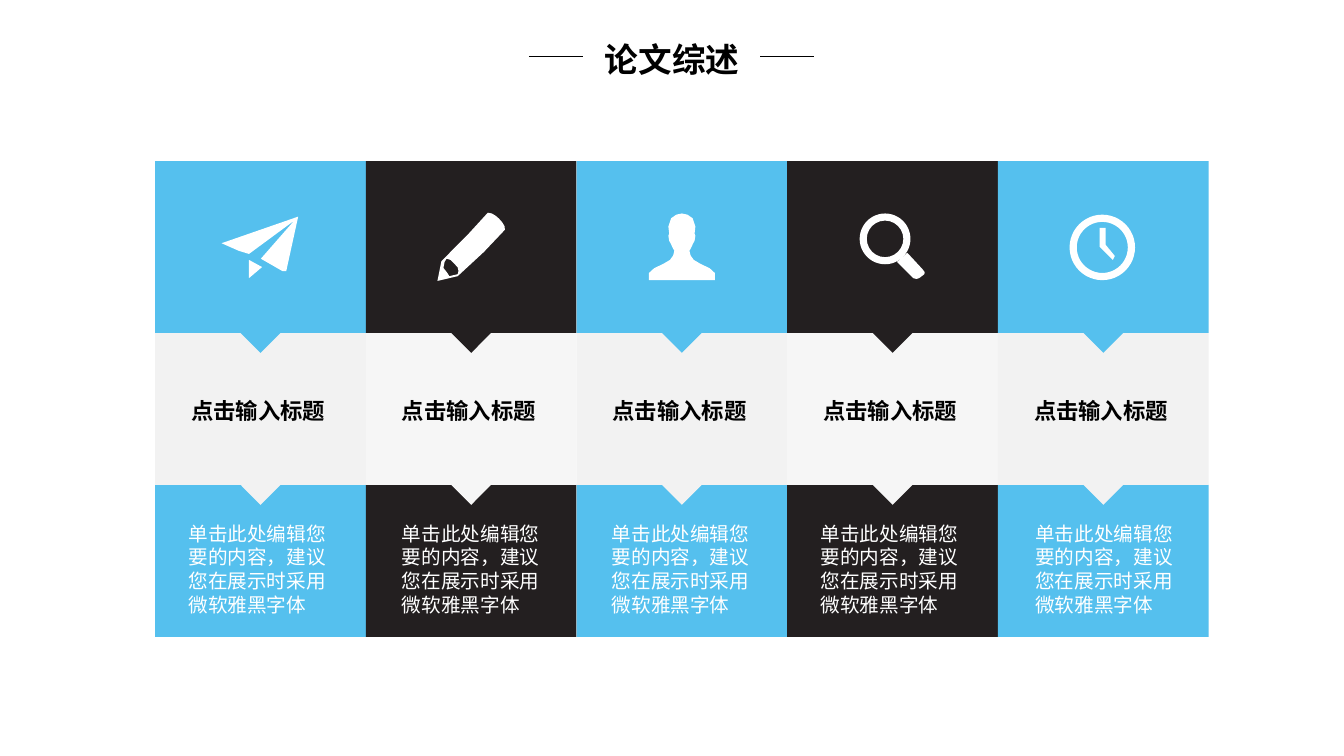
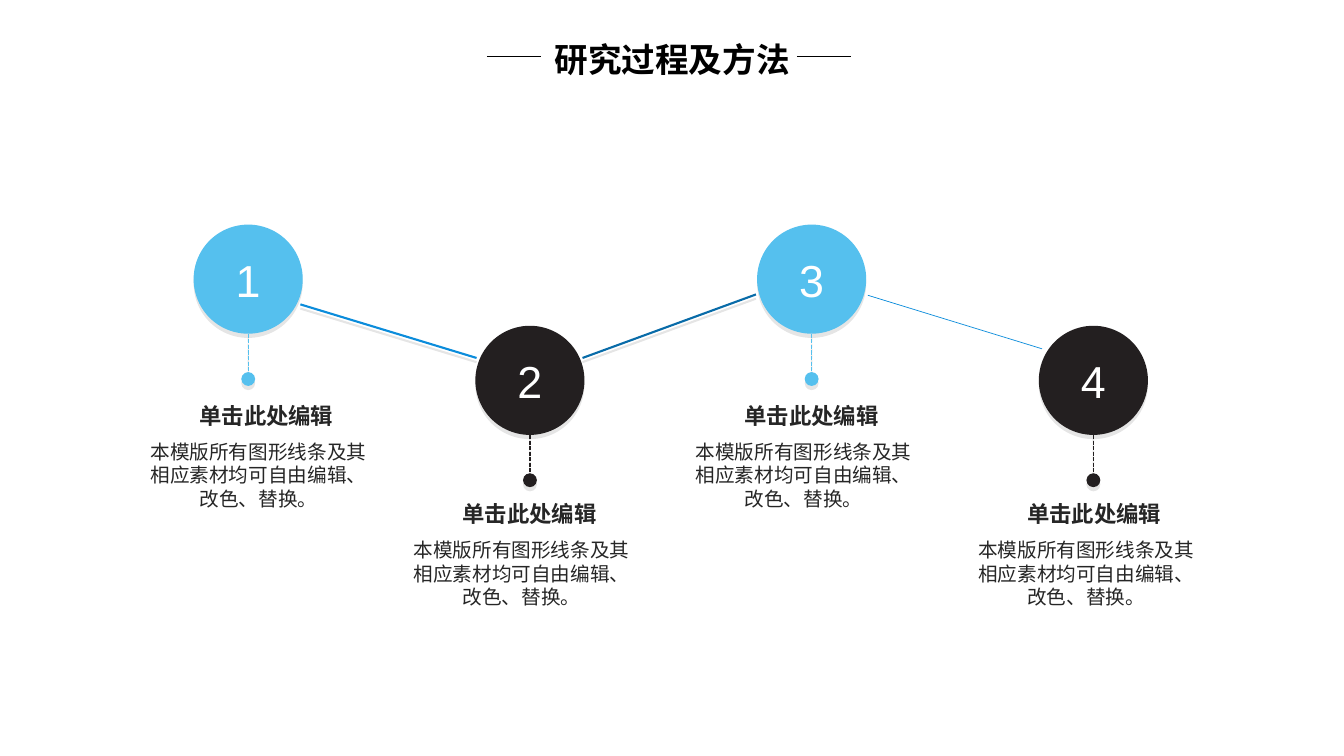
import pptx
import pptx.dml.color
import pptx.enum.dml
import pptx.enum.shapes
import pptx.enum.text
import pptx.oxml
import pptx.oxml.ns
import pptx.util

Cm, Pt = pptx.util.Cm, pptx.util.Pt
RGB = pptx.dml.color.RGBColor
SHAPE = pptx.enum.shapes.MSO_SHAPE
ALIGN = pptx.enum.text.PP_ALIGN
ANCHOR = pptx.enum.text.MSO_ANCHOR

BLUE = RGB(0x55, 0xC0, 0xEE)
DARK = RGB(0x23, 0x1F, 0x20)
PALE = RGB(0xF2, 0xF2, 0xF2)
PALER = RGB(0xF6, 0xF6, 0xF6)
LINK_BLUE = RGB(0x0B, 0x8C, 0xDB)
LINK_NAVY = RGB(0x08, 0x6B, 0xA8)
INK = RGB(0x26, 0x26, 0x26)
BLACK = RGB(0, 0, 0)
WHITE = RGB(0xFF, 0xFF, 0xFF)
CJK_FONT = "Noto Sans CJK SC"
LATIN_FONT = "Arial"

# Titles with the left ends of their two rules
REVIEW_TITLE = ("论文综述", (13.33, 19.16))
METHOD_TITLE = ("研究过程及方法", (12.27, 20.08))

CARD_TITLE = "点击输入标题"
CARD_BODY = "单击此处编辑您要的内容，建议您在展示时采用微软雅黑字体"
CARD_BODY_LEFTS = [4.75, 10.13, 15.42, 20.68, 26.09]
CARD_LEFT, CARD_WIDTH = 3.91, 5.31
ICON_ROW, TITLE_ROW, BODY_ROW, CARD_BOTTOM = 4.06, 8.39, 12.22, 16.05
POINTER = 0.71
ICON_Y = 6.22

# Icon outlines in hundredths of a centimetre from the icon centre
PLANE = [
    [(95, -76), (-98, -9), (-55, 10), (-29, 18), (85, -66), (1, 30),
     (55, 61), (65, 61)],
    [(-29, 33), (-29, 79), (4, 51)],
]
PENCIL = [
    [(42, -86), (52, -84), (62, -78), (70, -71), (78, -62), (84, -52),
     (85, -43), (32, 13), (-34, 74), (-85, 86), (-75, 36), (-11, -28)],
    [(-34, 69), (-55, 74), (-60, 66), (-70, 53), (-67, 38), (-62, 30),
     (-52, 33), (-42, 43), (-34, 52), (-32, 61)],
]
PERSON_HALF = [
    (0, -84), (14, -81), (27, -72), (34, -51), (32, -33), (34, -28),
    (32, -15), (28, -8), (23, 3), (19, 10), (22, 22), (30, 33), (47, 43),
    (70, 54), (83, 66), (83, 84),
]
PERSON = [PERSON_HALF + [(-x, y) for x, y in reversed(PERSON_HALF)]]
HANDLE = [[(37, 15), (75, 56), (81, 64), (80, 69), (67, 79), (60, 81),
           (52, 79), (11, 38)]]
HANDS = [[(6, -48), (-9, -48), (-9, 0), (24, 33), (29, 23), (6, -5)]]
# Outline, then an optional ring: left, top, diameter, relative thickness
ICONS = [
    (PLANE, None),
    (PENCIL, None),
    (PERSON, None),
    (HANDLE, (-0.83, -0.84, 1.28, 0.14)),
    (HANDS, (-0.85, -0.81, 1.65, 0.11)),
]

STEP_TITLE = "单击此处编辑"
STEP_BODY = "本模版所有图形线条及其相应素材均可自由编辑、改色、替换。"
STEP_TEXT_LEFTS = [3.3, 9.93, 17.04, 24.16]
STEP_LEFT, STEP_PITCH, CIRCLE = 4.88, 7.1, 2.75
# Circle top, heading top, body top, colour: high and low steps alternate
STEP_LEVELS = [(5.66, 10.08, 10.95, BLUE), (8.21, 12.55, 13.43, DARK)]
STEM = 1.14
LINKS = [
    ((7.57, 7.67, 12.01, 9.02), LINK_BLUE, 1.5, True),
    ((14.68, 9.02, 19.05, 7.42), LINK_NAVY, 1.5, True),
    ((21.87, 7.44, 26.26, 8.79), LINK_BLUE, 0.5, False),
]


def set_effect(sp, shadow):
    """Give the shape a faint drop shadow, or explicitly none."""
    inner = (
        '<a:outerShdw blurRad="0" dist="38100" dir="5400000" algn="t" '
        'rotWithShape="0"><a:srgbClr val="000000"><a:alpha val="10000"/>'
        "</a:srgbClr></a:outerShdw>"
    ) if shadow else ""
    sp._element.spPr.append(pptx.oxml.parse_xml(
        f'<a:effectLst {pptx.oxml.ns.nsdecls("a")}>{inner}</a:effectLst>'))


def paint(sp, color, shadow=False):
    sp.fill.solid()
    sp.fill.fore_color.rgb = color
    sp.line.fill.background()
    set_effect(sp, shadow)


def add_block(slide, kind, left, top, width, height, color, shadow=False):
    sp = slide.shapes.add_shape(
        kind, Cm(left), Cm(top), Cm(width), Cm(height))
    paint(sp, color, shadow)
    return sp


def add_line(slide, ends, color, width, shadow=False):
    line = slide.shapes.add_connector(
        pptx.enum.shapes.MSO_CONNECTOR.STRAIGHT, *map(Cm, ends))
    line.line.color.rgb = color
    line.line.width = Pt(width)
    set_effect(line, shadow)
    return line


def format_text(p, size, color, font, bold=False):
    f = p.runs[0].font
    f.size, f.bold, f.name = Pt(size), bold, font
    f.color.rgb = color
    r_pr = p.runs[0]._r.get_or_add_rPr()
    r_pr.append(pptx.oxml.parse_xml(
        f'<a:ea {pptx.oxml.ns.nsdecls("a")} typeface="{CJK_FONT}"/>'))


def add_text(slide, text, box, size, color, font=CJK_FONT, bold=False,
             align=ALIGN.LEFT, inset=None, leading=1.2):
    tf = slide.shapes.add_textbox(*map(Cm, box)).text_frame
    tf.word_wrap = True
    if inset is not None:
        tf.margin_left = tf.margin_right = Cm(inset)
        tf.margin_top = tf.margin_bottom = Cm(inset)
    p = tf.paragraphs[0]
    p.text = text
    p.alignment = align
    p.line_spacing = Pt(round(size * leading, 1))
    format_text(p, size, color, font, bold)


def add_slide(prs, title, rule_lefts):
    slide = prs.slides.add_slide(prs.slide_layouts[6])
    add_text(slide, title, (11.58, 0.85, 10.72, 1.27), 24, BLACK,
             bold=True, align=ALIGN.CENTER)
    for x in rule_lefts:
        add_line(slide, (x, 1.42, x + 1.36, 1.42), BLACK, 1)
    return slide


def add_pointer(slide, center, seam, color):
    """Add a diamond whose lower half points into the row below."""
    sp = add_block(slide, SHAPE.RECTANGLE, center - POINTER / 2,
                   seam - POINTER / 2, POINTER, POINTER, color)
    sp.rotation = 45


def add_icon(slide, contours, ring, center):
    builder = slide.shapes.build_freeform(*contours[0][0], scale=Cm(0.01))
    builder.add_line_segments(contours[0][1:], close=True)
    for contour in contours[1:]:
        builder.move_to(*contour[0])
        builder.add_line_segments(contour[1:], close=True)
    paint(builder.convert_to_shape(Cm(center), Cm(ICON_Y)), WHITE)
    if ring:
        dx, dy, size, thickness = ring
        sp = add_block(slide, SHAPE.DONUT, center + dx, ICON_Y + dy,
                       size, size, WHITE)
        sp.adjustments[0] = thickness


def add_card(slide, index, icon, body_left):
    left = CARD_LEFT + index * CARD_WIDTH
    center = left + CARD_WIDTH / 2
    color, pale = [(BLUE, PALE), (DARK, PALER)][index % 2]
    rows = [(BODY_ROW, CARD_BOTTOM, color), (TITLE_ROW, BODY_ROW, pale),
            (ICON_ROW, TITLE_ROW, color)]
    for top, bottom, fill in rows:
        add_block(slide, SHAPE.RECTANGLE, left, top, CARD_WIDTH,
                  bottom - top, fill)
        if bottom < CARD_BOTTOM:
            add_pointer(slide, center, bottom, fill)
    add_icon(slide, *icon, center)
    add_text(slide, CARD_TITLE, (left + 0.66, 9.88, 3.99, 0.94), 16, BLACK,
             bold=True)
    add_text(slide, CARD_BODY, (body_left, 13.15, 3.63, 2.44), 14, WHITE,
             inset=0)


def add_step(slide, index, text_left):
    top, title_top, body_top, color = STEP_LEVELS[index % 2]
    left = STEP_LEFT + index * STEP_PITCH
    sp = add_block(slide, SHAPE.OVAL, left, top, CIRCLE, CIRCLE, color, True)
    tf = sp.text_frame
    tf.text = str(index + 1)
    tf.vertical_anchor = ANCHOR.MIDDLE
    tf.paragraphs[0].alignment = ALIGN.CENTER
    format_text(tf.paragraphs[0], 32, WHITE, LATIN_FONT)

    x, y = left + CIRCLE / 2, top + CIRCLE
    stem = add_line(slide, (x, y, x, y + STEM), color, 1, True)
    stem.line.dash_style = pptx.enum.dml.MSO_LINE.SQUARE_DOT
    stem.line._get_or_add_ln().append(pptx.oxml.parse_xml(
        f'<a:tailEnd {pptx.oxml.ns.nsdecls("a")} type="oval" '
        'w="lg" len="lg"/>'))

    add_text(slide, STEP_TITLE, (text_left + 0.2, title_top, 6.43, 0.86), 16,
             INK, LATIN_FONT, True, ALIGN.CENTER, leading=1.08)
    add_text(slide, STEP_BODY, (text_left, body_top, 6.43, 2.06), 14,
             INK, LATIN_FONT, align=ALIGN.CENTER)


def main():
    prs = pptx.Presentation()
    prs.slide_width, prs.slide_height = Cm(33.87), Cm(19.05)

    review = add_slide(prs, *REVIEW_TITLE)
    for i, (icon, body_left) in enumerate(zip(ICONS, CARD_BODY_LEFTS)):
        add_card(review, i, icon, body_left)

    method = add_slide(prs, *METHOD_TITLE)
    for link in LINKS:
        add_line(method, *link)
    for i, text_left in enumerate(STEP_TEXT_LEFTS):
        add_step(method, i, text_left)

    prs.save("out.pptx")


if __name__ == "__main__":
    main()
